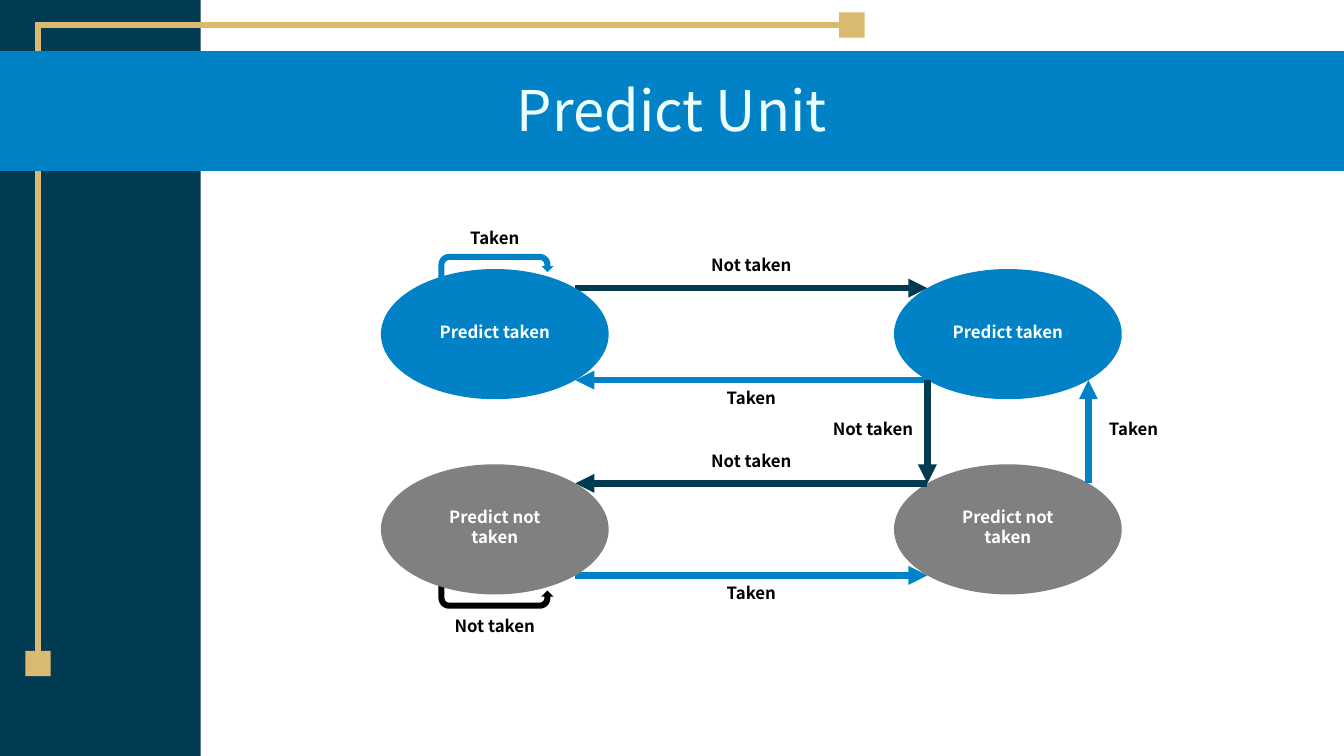
from lxml import etree
from pptx import Presentation
from pptx.dml.color import RGBColor
from pptx.enum.shapes import MSO_CONNECTOR, MSO_SHAPE
from pptx.enum.text import MSO_ANCHOR, MSO_AUTO_SIZE, PP_ALIGN
from pptx.oxml.ns import qn
from pptx.util import Cm, Pt

STRAIGHT = MSO_CONNECTOR.STRAIGHT
RECTANGLE, ELLIPSE = MSO_SHAPE.RECTANGLE, MSO_SHAPE.OVAL
U_TURN = MSO_SHAPE.U_TURN_ARROW
MIDDLE, BOTTOM = MSO_ANCHOR.MIDDLE, MSO_ANCHOR.BOTTOM
NO_AUTOFIT = MSO_AUTO_SIZE.NONE
CENTER = PP_ALIGN.CENTER

NAVY = RGBColor(0x01, 0x3B, 0x51)
BLUE = RGBColor(0x01, 0x82, 0xC6)
GOLD = RGBColor(0xDA, 0xBA, 0x6F)
GRAY = RGBColor(0x80, 0x80, 0x80)
ICE = RGBColor(0xEB, 0xFF, 0xFF)
BLACK = RGBColor(0, 0, 0)
WHITE = RGBColor(0xFF, 0xFF, 0xFF)

FONT = "Noto Sans CJK KR"
SLIDE_WIDTH, SLIDE_HEIGHT = 33.87, 19.05
LINE_WIDTH = Pt(4.5)
DIAGONAL = 0.5 ** 0.5


def add_filled(slide, kind, box, color):
    """Add a borderless filled shape in a box given in centimetres."""
    shape = slide.shapes.add_shape(kind, *map(Cm, box))
    shape.shadow.inherit = False
    shape.fill.solid()
    shape.fill.fore_color.rgb = color
    shape.line.fill.background()
    return shape


def add_line(slide, start, end, color, arrow=False):
    """Add a straight line between two points, with an optional arrowhead."""
    line = slide.shapes.add_connector(STRAIGHT, *map(Cm, (*start, *end)))
    line.line.width = LINE_WIDTH
    line.line.color.rgb = color
    if arrow:
        etree.SubElement(line.line._get_or_add_ln(), qn("a:tailEnd"), type="triangle")
    etree.SubElement(line.element.spPr, qn("a:effectLst"))


def write_text(frame, text, size, color, bold=False):
    """Write one centred run into a text frame."""
    frame.word_wrap = True
    frame.auto_size = NO_AUTOFIT
    paragraph = frame.paragraphs[0]
    paragraph.alignment = CENTER
    run = paragraph.add_run()
    run.text = text
    run.font.name = FONT
    run.font.size = Pt(size)
    run.font.bold = bold
    run.font.color.rgb = color


def write_label(frame, text, color):
    """Write a bold diagram label, centred vertically."""
    frame.vertical_anchor = MIDDLE
    frame.margin_left = frame.margin_right = Cm(0.25)
    frame.margin_top, frame.margin_bottom = 0, Cm(0.13)
    write_text(frame, text, 12, color, bold=True)


def add_label(slide, center, text):
    """Add a text box centred on a point."""
    width, height = 4.27, 0.94
    x, y = center
    box = (x - width / 2, y - height / 2, width, height)
    write_label(slide.shapes.add_textbox(*map(Cm, box)).text_frame, text, BLACK)


def add_transition(slide, start, end, color, text, offset):
    """Add an arrow and its label, offset from the arrow's midpoint."""
    add_line(slide, start, end, color, arrow=True)
    center = [(a + b) / 2 + shift for a, b, shift in zip(start, end, offset)]
    add_label(slide, center, text)


def add_state(slide, box, text, color):
    """Add an ellipse that names a predictor state."""
    ellipse = add_filled(slide, ELLIPSE, box, color)
    write_label(ellipse.text_frame, text, WHITE)


def corner(box, horizontal, vertical):
    """Return the diagonal point of an ellipse, with directions of -1 or 1."""
    left, top, width, height = box
    return (left + width / 2 * (1 + horizontal * DIAGONAL),
            top + height / 2 * (1 + vertical * DIAGONAL))


def add_frame(slide, box):
    """Add the gold corner lines with a square at each free end."""
    left, top, width, height = box
    side = 0.64
    right, bottom = left + width - side, top + height - side
    x, y = left + side / 2, top + side / 2
    add_line(slide, (x, bottom), (x, y - 0.08), GOLD)
    add_line(slide, (right, y), (x, y), GOLD)
    for square_left, square_top in ((right, top), (left, bottom)):
        add_filled(slide, RECTANGLE, (square_left, square_top, side, side), GOLD)


def add_title(slide, box):
    """Add the blue band and place the title in it."""
    left, top, width, height = box
    add_filled(slide, RECTANGLE, box, BLUE)
    title = slide.shapes.title
    slide.shapes.element.append(title.element)
    title.left, title.top = Cm(left + 0.25), Cm(top + 0.38)
    title.width, title.height = Cm(width - 0.5), Cm(2.08)
    title.text_frame.vertical_anchor = BOTTOM
    write_text(title.text_frame, "Predict Unit", 40, ICE)
    title.text_frame.paragraphs[0].line_spacing = 0.9


def add_diagram(slide, box):
    """Add the four predictor states with their transitions."""
    left, top, width, height = box
    state_width, state_height = 5.74, 3.28
    right, low = left + width - state_width, top + height - state_height
    taken_left, taken_right, not_left, not_right = (
        (x, y, state_width, state_height) for y in (top, low) for x in (left, right))

    add_state(slide, taken_right, "Predict taken", BLUE)
    add_state(slide, not_right, "Predict not taken", GRAY)

    above, below = (0, -0.51), (0, 0.51)
    transitions = (
        (corner(taken_left, 1, -1), corner(taken_right, -1, -1), NAVY, "Not taken", above),
        (corner(taken_right, -1, 1), corner(taken_left, 1, 1), BLUE, "Taken", below),
        (corner(taken_right, -1, 1), corner(not_right, -1, -1), NAVY, "Not taken", (-1.37, 0)),
        (corner(not_right, 1, -1), corner(taken_right, 1, 1), BLUE, "Taken", (1.14, 0)),
        (corner(not_left, 1, 1), corner(not_right, -1, 1), BLUE, "Taken", below),
        (corner(not_right, -1, -1), corner(not_left, 1, -1), NAVY, "Not taken", above),
    )
    for transition in transitions:
        add_transition(slide, *transition)

    bottom = top + height
    center = left + state_width / 2
    loops = ((top - 0.38, BLUE, "Taken", top - 0.72, False),
             (bottom - 0.25, BLACK, "Not taken", bottom + 0.85, True))
    for loop_top, color, text, label_y, flipped in loops:
        loop = add_filled(slide, U_TURN, (left + 1.45, loop_top, 2.9, 0.61), color)
        if flipped:
            loop.element.spPr.xfrm.set("flipV", "1")
        add_label(slide, (center, label_y), text)

    add_state(slide, not_left, "Predict not taken", GRAY)
    add_state(slide, taken_left, "Predict taken", BLUE)


def main():
    """Build the slide and save the presentation."""
    presentation = Presentation()
    presentation.slide_width = Cm(SLIDE_WIDTH)
    presentation.slide_height = Cm(SLIDE_HEIGHT)
    slide = presentation.slides.add_slide(presentation.slide_layouts[5])
    add_filled(slide, RECTANGLE, (0, 0, 5.06, SLIDE_HEIGHT), NAVY)
    add_frame(slide, (0.64, 0.31, 21.15, 16.73))
    add_title(slide, (0, 1.29, SLIDE_WIDTH, 3.02))
    add_diagram(slide, (9.6, 6.78, 18.67, 8.2))
    presentation.save("out.pptx")


if __name__ == "__main__":
    main()
